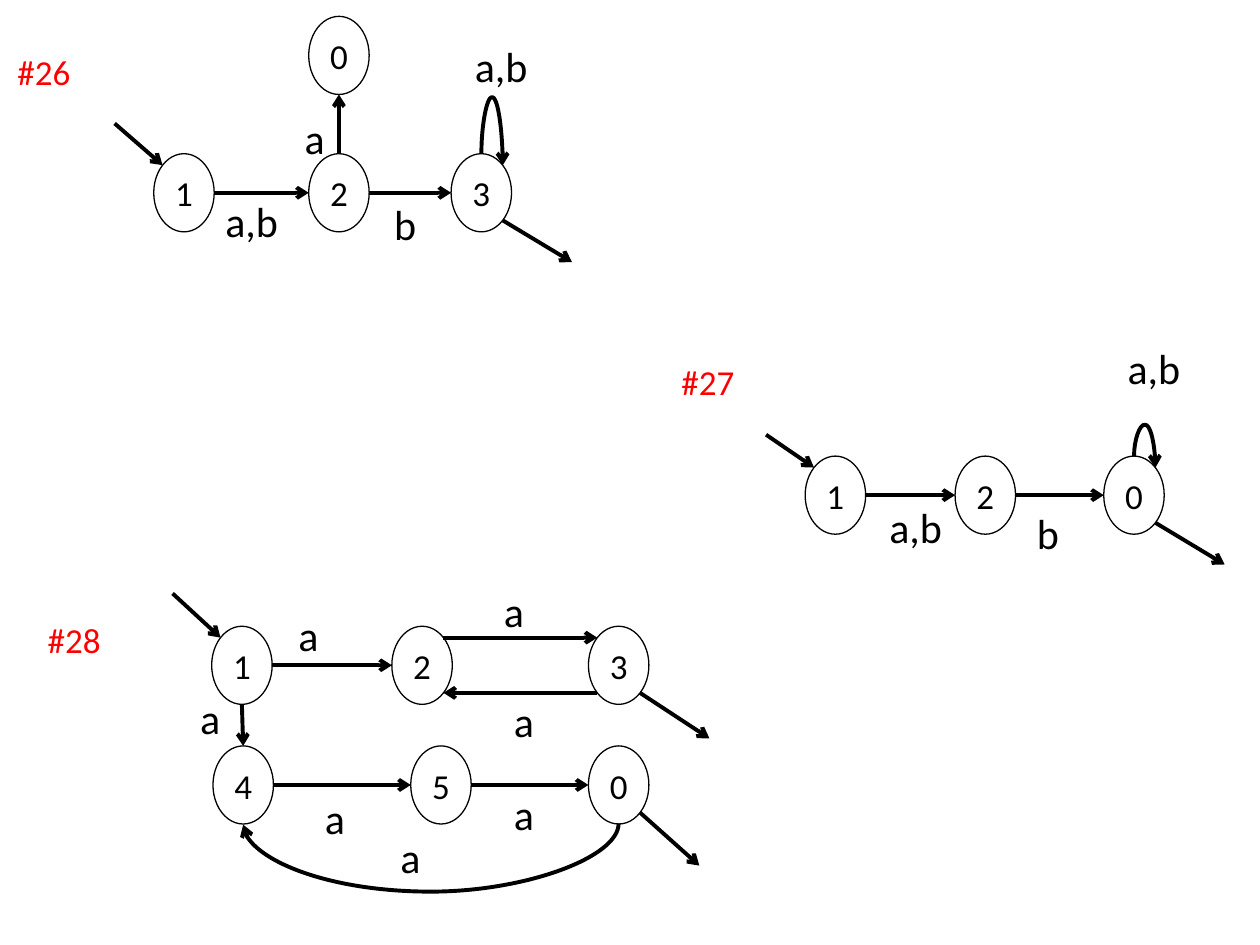
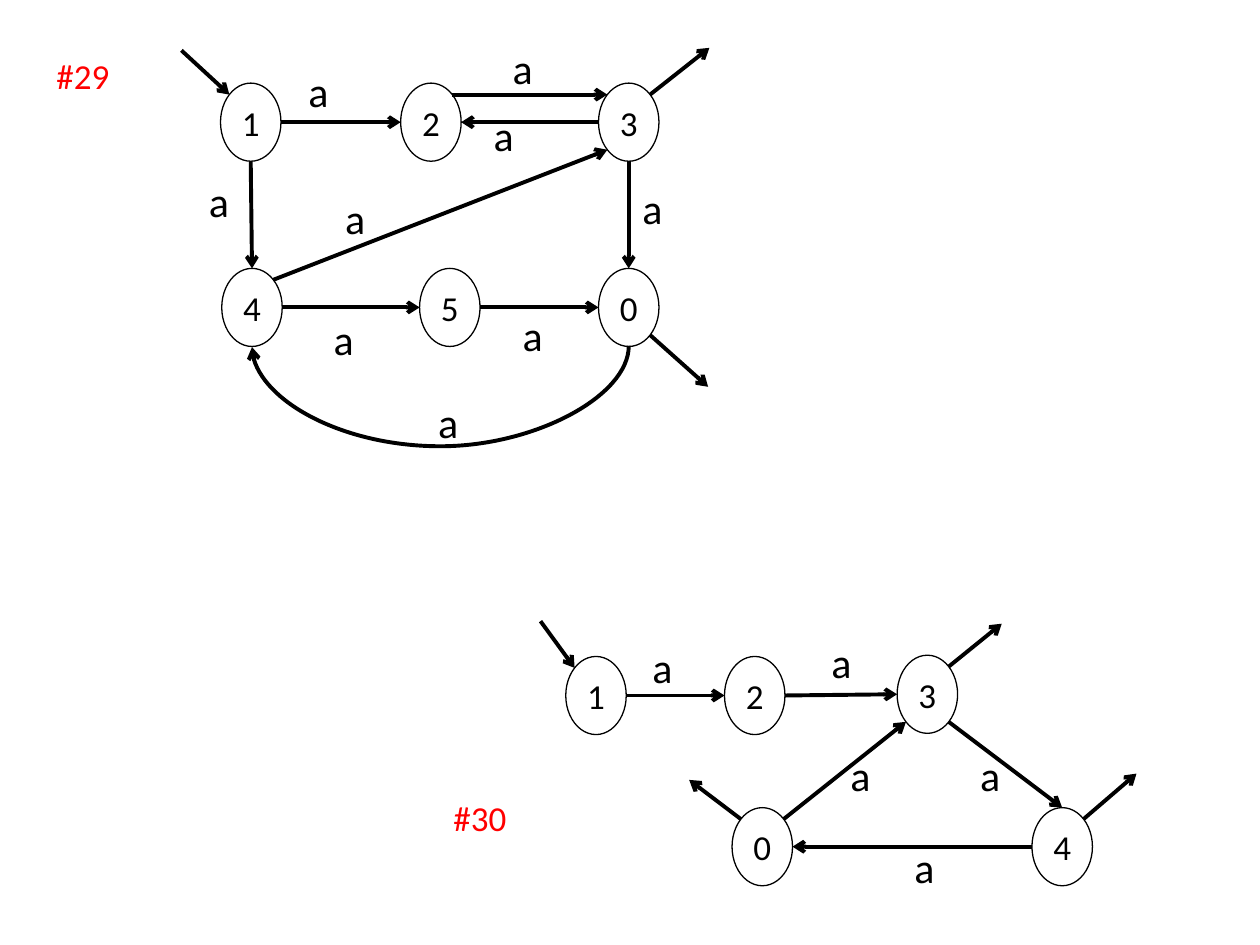
"""Build two slides of state diagrams, each state joined by labelled arrows."""
from math import cos, pi, sin

from lxml.etree import SubElement
from pptx import Presentation
from pptx.dml.color import RGBColor
from pptx.enum.shapes import MSO_CONNECTOR as Link, MSO_SHAPE as Form
from pptx.enum.text import MSO_ANCHOR as Anchor, MSO_AUTO_SIZE as Fit, PP_ALIGN as Align
from pptx.oxml.ns import qn
from pptx.util import Inches, Pt

COLORS = {"ink": "000000", "tag": "FF0000"}
WIDE, HIGH = 0.48, 0.62
SITES = ["N", "NW", "W", "SW", "S", "SE", "E", "NE"]
SIZES = {"a": (0.36, 0.5), "b": (0.38, 0.5), "a,b": (0.62, 0.5)}
TAG_SIZE = (0.63, 0.44)
FONTS = {
    "state": {"name": "Calibri", "size": Pt(20), "color": "ink"},
    "label": {"name": "Calibri", "size": Pt(24), "color": "ink"},
    "tag": {"name": "Calibri", "size": Pt(20), "color": "tag"},
}

SLIDES = [
    [
        {
            "tag": ("#26", 0.04, 0.35),
            "states": {"1": (1.22, 1.22), "2": (2.45, 1.22),
                       "3": (3.58, 1.22), "0": (2.45, 0.13)},
            "moves": [("1E", "2W"), ("2E", "3W"), ("2N", "0S"),
                      ((0.91, 0.98), "1NW"), ("3SE", (4.54, 2.08))],
            "curves": [("3N", "3NE", -0.45)],
            "labels": {"a,b": [(1.69, 1.5), (3.67, 0.27)],
                       "a": [(2.32, 0.84)], "b": [(3.03, 1.53)]},
        },
        {
            "tag": ("#27", 5.31, 2.81),
            "states": {"1": (6.39, 3.62), "2": (7.58, 3.62), "0": (8.76, 3.62)},
            "moves": [("1E", "2W"), ("2E", "0W"),
                      ((6.08, 3.45), "1NW"), ("0SE", (9.72, 4.48))],
            "curves": [("0N", "0NE", -0.25)],
            "labels": {"a,b": [(6.96, 3.93), (8.85, 2.67)], "b": [(8.13, 3.98)]},
        },
        {
            "tag": ("#28", 0.28, 4.86),
            "states": {"1": (1.68, 4.97), "2": (3.11, 4.97), "3": (4.67, 4.97),
                       "4": (1.69, 5.92), "5": (3.26, 5.92), "0": (4.67, 5.92)},
            "moves": [("1E", "2W"), ("2NE", "3NW"), ("3SW", "2SE"),
                      ("1S", "4N"), ("4E", "5W"), ("5E", "0W"),
                      ((1.37, 4.71), "1NW"), ("3SE", (5.63, 5.86)),
                      ("0SE", (5.55, 6.87))],
            "curves": [("0S", "4S", 0.55)],
            "labels": {"a": [(2.27, 4.79), (3.9, 4.6), (1.49, 5.45), (2.48, 6.24),
                             (3.98, 6.21), (3.08, 6.55), (3.98, 5.47)]},
        },
    ],
    [
        {
            "tag": ("#29", 0.35, 0.38),
            "states": {"1": (1.75, 0.66), "2": (3.18, 0.66), "3": (4.75, 0.66),
                       "4": (1.76, 2.13), "5": (3.33, 2.13), "0": (4.75, 2.13)},
            "moves": [("1E", "2W"), ("2NE", "3NW"), ("3W", "2E"), ("1S", "4N"),
                      ("4E", "5W"), ("5E", "0W"), ("3S", "0N"), ("4NE", "3SW"),
                      ((1.44, 0.4), "1NW"), ("3NE", (5.63, 0.38)),
                      ("0SE", (5.62, 3.07))],
            "curves": [("0S", "4S", 0.81)],
            "labels": {"a": [(2.35, 0.47), (3.97, 0.29), (1.56, 1.34),
                             (2.55, 2.44), (4.05, 2.41), (5, 1.4),
                             (3.82, 0.82), (2.64, 1.48), (3.38, 3.1)]},
        },
        {
            "tag": ("#30", 3.5, 6.27),
            "states": {"1": (4.49, 5.21), "2": (5.75, 5.21), "3": (7.12, 5.2),
                       "4": (8.19, 6.41), "0": (5.81, 6.41)},
            "moves": [("1E", "2W"), ("2E", "3W"), ("3SE", "4N"), ("4W", "0E"),
                      ("0NE", "3SW"), ((4.29, 4.93), "1NW"),
                      ("3NE", (7.95, 4.95)), ("4NE", (9.02, 6.14)),
                      ("0NW", (5.47, 6.19))],
            "curves": [],
            "labels": {"a": [(5.08, 5.04), (6.5, 5), (7.68, 5.9),
                             (6.65, 5.9), (7.16, 6.63)]},
        },
    ],
]


def ink(key):
    return RGBColor.from_string(COLORS[key])


def write(frame, text, style):
    frame.word_wrap = False
    para = frame.paragraphs[0]
    run = para.add_run()
    run.text = text
    for key, value in FONTS[style].items():
        if key == "color":
            run.font.color.rgb = ink(value)
        else:
            setattr(run.font, key, value)
    return para


def add_text(slide, text, spot, size, style):
    box = slide.shapes.add_textbox(*map(Inches, (*spot, *size)))
    write(box.text_frame, text, style)
    box.text_frame.auto_size = Fit.SHAPE_TO_FIT_TEXT


def add_state(slide, name, spot):
    oval = slide.shapes.add_shape(Form.OVAL, *map(Inches, (*spot, WIDE, HIGH)))
    oval.shadow.inherit = False
    oval.fill.background()
    oval.line.color.rgb = ink("ink")
    oval.line.width = Pt(0.75)
    write(oval.text_frame, name, "state").alignment = Align.CENTER
    oval.text_frame.vertical_anchor = Anchor.MIDDLE
    return oval


def locate(end, states):
    if not isinstance(end, str):
        return end
    left, top = states[end[0]]
    turn = SITES.index(end[1:]) * pi / 4
    return (left + WIDE / 2 * (1 - sin(turn)), top + HIGH / 2 * (1 - cos(turn)))


def add_arrow(slide, kind, start, stop, ends, ovals):
    arrow = slide.shapes.add_connector(kind, *map(Inches, (*start, *stop)))
    arrow.line.color.rgb = ink("ink")
    arrow.line.width = Pt(2.25)
    SubElement(arrow.line._get_or_add_ln(), qn("a:tailEnd"), type="arrow")
    SubElement(arrow.element.spPr, qn("a:effectLst"))
    joints = arrow.element.find(qn("p:nvCxnSpPr")).find(qn("p:cNvCxnSpPr"))
    for tag, end in zip(("a:stCxn", "a:endCxn"), ends):
        if isinstance(end, str):
            SubElement(joints, qn(tag), id=str(ovals[end[0]].shape_id),
                       idx=str(SITES.index(end[1:])))
    return arrow


def add_curve(slide, ends, depth, states, ovals):
    (x1, y1), (x2, y2) = (locate(end, states) for end in ends)
    mid_x, mid_y = (x1 + x2) / 2, (y1 + y2) / 2
    side = 1 if depth > 0 else -1
    drop, span = max(abs(y2 - y1), 0.01), abs(x2 - x1)
    start = (mid_x - side * drop / 2, mid_y - span / 2)
    stop = (mid_x + side * drop / 2, mid_y + span / 2)
    arrow = add_arrow(slide, Link.CURVE, start, stop, ends, ovals)
    props = arrow.element.spPr
    props.find(qn("a:xfrm")).set("rot", str((90 if side > 0 else 270) * 60000))
    guides = props.find(qn("a:prstGeom")).find(qn("a:avLst"))
    SubElement(guides, qn("a:gd"), name="adj1",
               fmla=f"val {round(depth / drop * 100000)}")


def draw(slide, graph):
    states = graph["states"]
    ovals = {name: add_state(slide, name, spot) for name, spot in states.items()}
    for ends in graph["moves"]:
        start, stop = (locate(end, states) for end in ends)
        add_arrow(slide, Link.STRAIGHT, start, stop, ends, ovals)
    for *ends, depth in graph["curves"]:
        add_curve(slide, ends, depth, states, ovals)
    for text, spots in graph["labels"].items():
        for spot in spots:
            add_text(slide, text, spot, SIZES[text], "label")
    text, *spot = graph["tag"]
    add_text(slide, text, spot, TAG_SIZE, "tag")


def main():
    deck = Presentation()
    deck.slide_width, deck.slide_height = Inches(10), Inches(7.5)
    for graphs in SLIDES:
        slide = deck.slides.add_slide(deck.slide_layouts[6])
        for graph in graphs:
            draw(slide, graph)
    deck.save("out.pptx")


if __name__ == "__main__":
    main()
